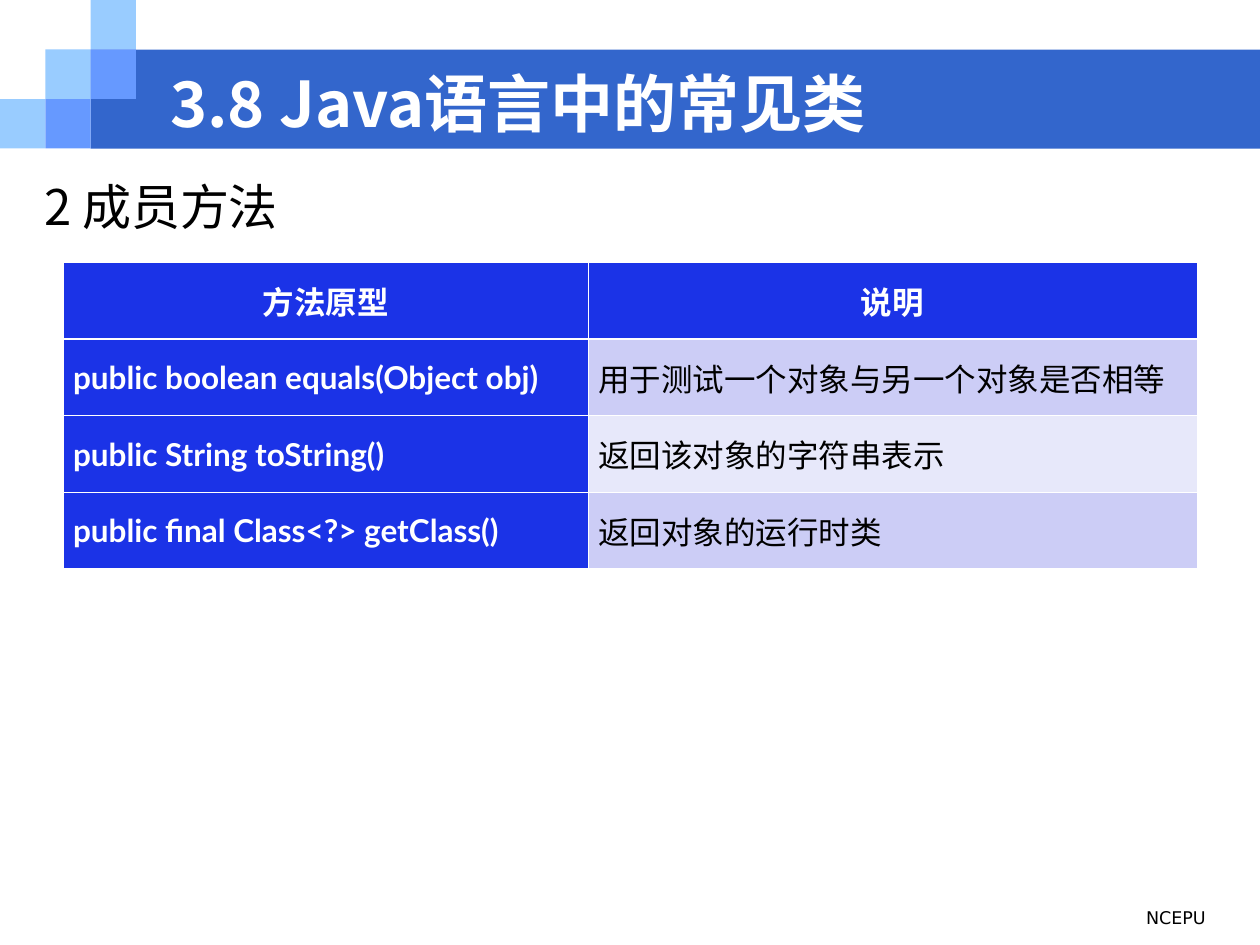
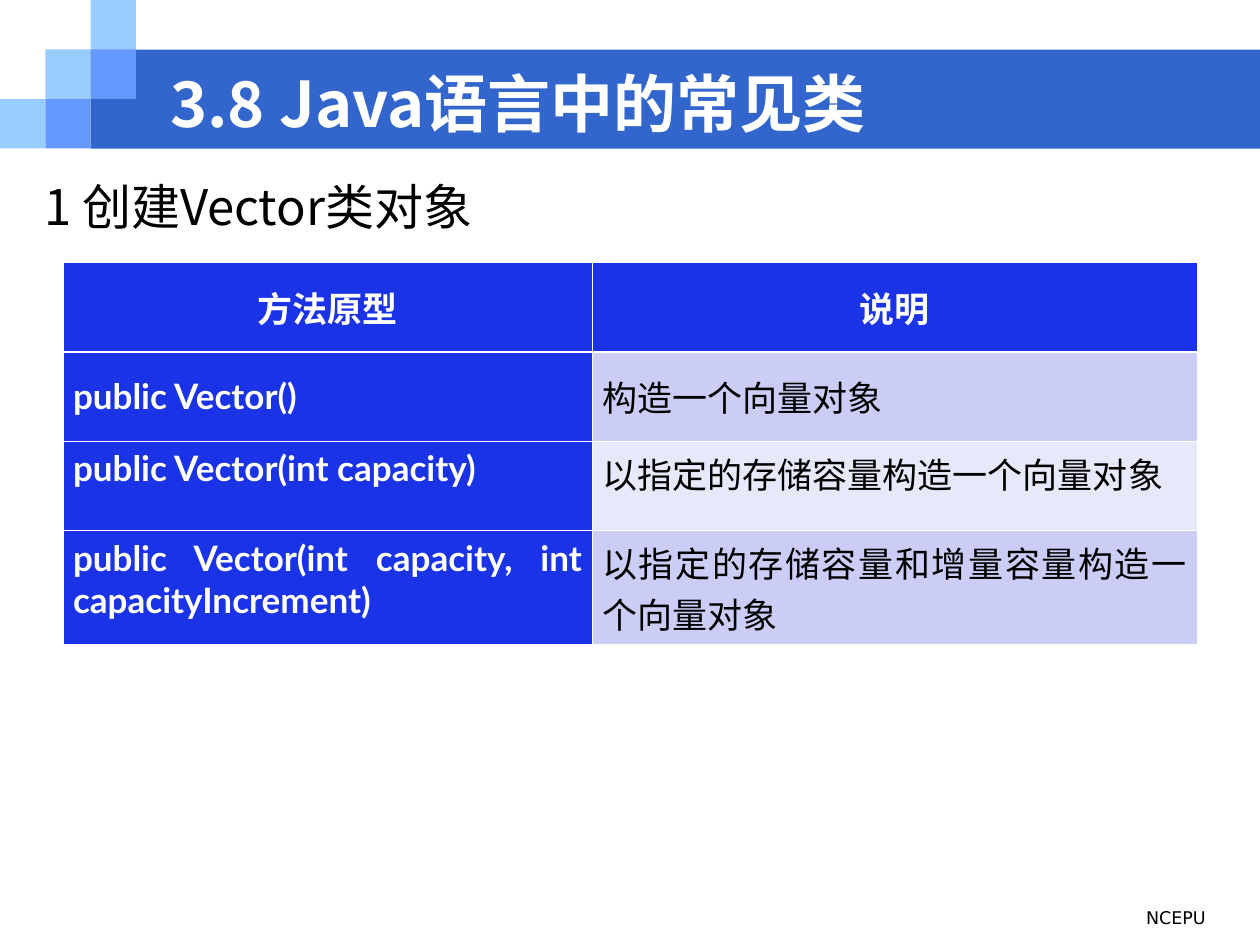
"""Build two slides on common Java classes, each with a heading and a method table."""
from dataclasses import dataclass

from lxml import etree
from pptx import Presentation
from pptx.dml.color import RGBColor
from pptx.enum.shapes import MSO_SHAPE
from pptx.enum.text import MSO_ANCHOR, MSO_AUTO_SIZE, PP_ALIGN
from pptx.oxml.ns import qn
from pptx.util import Pt

RECTANGLE = MSO_SHAPE.RECTANGLE
TOP, MIDDLE = MSO_ANCHOR.TOP, MSO_ANCHOR.MIDDLE
LEFT, CENTER = PP_ALIGN.LEFT, PP_ALIGN.CENTER
RIGHT, JUSTIFY = PP_ALIGN.RIGHT, PP_ALIGN.JUSTIFY
NO_FIT = MSO_AUTO_SIZE.NONE

TITLE = "3.8 Java语言中的常见类"
FOOTER = "NCEPU"
TABLE_HEADER = ("方法原型", "说明")
SLIDES = [
    {
        "heading": "2 成员方法",
        "methods": [
            ("public boolean equals(Object obj)", "用于测试一个对象与另一个对象是否相等"),
            ("public String toString()", "返回该对象的字符串表示"),
            ("public final Class<?> getClass()", "返回对象的运行时类"),
        ],
        "columns": (300, 348),
        "rows": (43.74,) * 4,
        "size": 18,
        "justified_from": 4,
    },
    {
        "heading": "1 创建Vector类对象",
        "methods": [
            ("public Vector()", "构造一个向量对象"),
            ("public Vector(int capacity)", "以指定的存储容量构造一个向量对象"),
            ("public Vector(int capacity, int capacityIncrement)",
             "以指定的存储容量和增量容量构造一个向量对象"),
        ],
        "columns": (302.4, 345.6),
        "rows": (51, 51, 51, 56.2),
        "size": 20,
        "justified_from": 2,
    },
]


@dataclass(frozen=True)
class Theme:
    band: str = "3366CC"
    light_tile: str = "99CCFF"
    dark_tile: str = "6699FF"
    table_accent: str = "1B33E7"
    row_tints: tuple = ("CCCDF6", "E7E8FA")
    white: str = "FFFFFF"
    black: str = "000000"
    cjk_font: str = "Noto Sans CJK SC"
    table_font: str = "Lato"
    footer_font: str = "DejaVu Sans"
    title_size: int = 36
    heading_size: int = 28
    footer_size: int = 10
    thin_line: float = 0.45
    header_line: float = 1.47


THEME = Theme()
SLIDE_WIDTH, SLIDE_HEIGHT = 720, 540
TILE_WIDTH, TILE_HEIGHT = 25.9, 28.3
TILES = [
    (0, 2, THEME.light_tile),
    (1, 1, THEME.light_tile),
    (2, 0, THEME.light_tile),
    (2, 1, THEME.dark_tile),
    (1, 2, THEME.dark_tile),
]
TITLE_AREA = (90, 39.6, 582, 38.2)
BODY_AREA = (18, 84.2, 690, 455.8)
FOOTER_AREA = (468, 514.8, 228, 25.2)
TABLE_LEFT, TABLE_TOP = 36, 150
CELL_MARGIN = 5.75


def place(shape, area):
    shape.left, shape.top, shape.width, shape.height = map(Pt, area)


def write(frame, text, font_name, size, color, bold=False, align=LEFT):
    para = frame.paragraphs[0]
    para.text = text
    para.alignment = align
    font = para.font
    font.name, font.size, font.bold = font_name, Pt(size), bold
    font.color.rgb = RGBColor.from_string(color)
    defaults = para._p.pPr.find(qn("a:defRPr"))
    etree.SubElement(defaults, qn("a:ea"), typeface=THEME.cjk_font)
    return para


def add_block(page, area, color):
    block = page.shapes.add_shape(RECTANGLE, *map(Pt, area))
    block.shadow.inherit = False
    block.fill.solid()
    block.fill.fore_color.rgb = RGBColor.from_string(color)
    block.line.fill.background()


def add_frame(page, heading):
    band_left = 2 * TILE_WIDTH
    add_block(page, (band_left, TILE_HEIGHT, SLIDE_WIDTH - band_left, 2 * TILE_HEIGHT), THEME.band)
    for column, row, color in TILES:
        add_block(page, (column * TILE_WIDTH, row * TILE_HEIGHT, TILE_WIDTH, TILE_HEIGHT), color)

    footer = page.shapes.add_textbox(*map(Pt, FOOTER_AREA))
    footer.text_frame.word_wrap = True
    write(footer.text_frame, FOOTER, THEME.footer_font, THEME.footer_size, THEME.black, align=RIGHT)

    title, body = page.shapes.title, page.placeholders[1]
    for holder, area, anchor in ((title, TITLE_AREA, MIDDLE), (body, BODY_AREA, TOP)):
        place(holder, area)
        holder.text_frame.auto_size = NO_FIT
        holder.text_frame.vertical_anchor = anchor
        page.shapes._spTree.append(holder._element)
    write(title.text_frame, TITLE, THEME.cjk_font, THEME.title_size, THEME.white, bold=True)

    body.text_frame.margin_top = 0
    para = body.text_frame.paragraphs[0]
    properties = para._p.get_or_add_pPr()
    properties.set("marL", "0")
    properties.set("indent", "0")
    etree.SubElement(properties, qn("a:buNone"))
    write(body.text_frame, heading, THEME.cjk_font, THEME.heading_size, THEME.black)
    para.line_spacing = 1.5
    para.space_before = Pt(0)


def set_borders(cell, row):
    widths = {
        "a:lnL": THEME.thin_line,
        "a:lnR": THEME.thin_line,
        "a:lnT": THEME.header_line if row == 1 else THEME.thin_line,
        "a:lnB": THEME.header_line if row == 0 else THEME.thin_line,
    }
    properties = cell._tc.get_or_add_tcPr()
    for position, (tag, width) in enumerate(widths.items()):
        line = etree.Element(qn(tag), w=str(Pt(width)))
        fill = etree.SubElement(line, qn("a:solidFill"))
        etree.SubElement(fill, qn("a:srgbClr"), val=THEME.white)
        properties.insert(position, line)


def add_method_table(page, content):
    records = [TABLE_HEADER, *content["methods"]]
    columns, rows = content["columns"], content["rows"]
    area = (TABLE_LEFT, TABLE_TOP, sum(columns), sum(rows))
    table = page.shapes.add_table(len(rows), len(columns), *map(Pt, area)).table
    for column, width in zip(table.columns, columns):
        column.width = Pt(width)
    for row, height in zip(table.rows, rows):
        row.height = Pt(height)

    for row, record in enumerate(records):
        justified = row >= content["justified_from"]
        align = CENTER if row == 0 else JUSTIFY if justified else LEFT
        for column, text in enumerate(record):
            cell = table.cell(row, column)
            accented = row == 0 or column == 0
            tint = THEME.table_accent if accented else THEME.row_tints[(row - 1) % 2]
            cell.fill.solid()
            cell.fill.fore_color.rgb = RGBColor.from_string(tint)
            cell.margin_left = cell.margin_right = Pt(CELL_MARGIN)
            cell.vertical_anchor = TOP if justified else MIDDLE
            write(cell.text_frame, text, THEME.table_font, content["size"],
                  THEME.white if accented else THEME.black, accented, align)
            set_borders(cell, row)


def main():
    deck = Presentation()
    deck.slide_width, deck.slide_height = Pt(SLIDE_WIDTH), Pt(SLIDE_HEIGHT)
    for content in SLIDES:
        page = deck.slides.add_slide(deck.slide_layouts[1])
        add_frame(page, content["heading"])
        add_method_table(page, content)
    deck.save("out.pptx")


if __name__ == "__main__":
    main()
